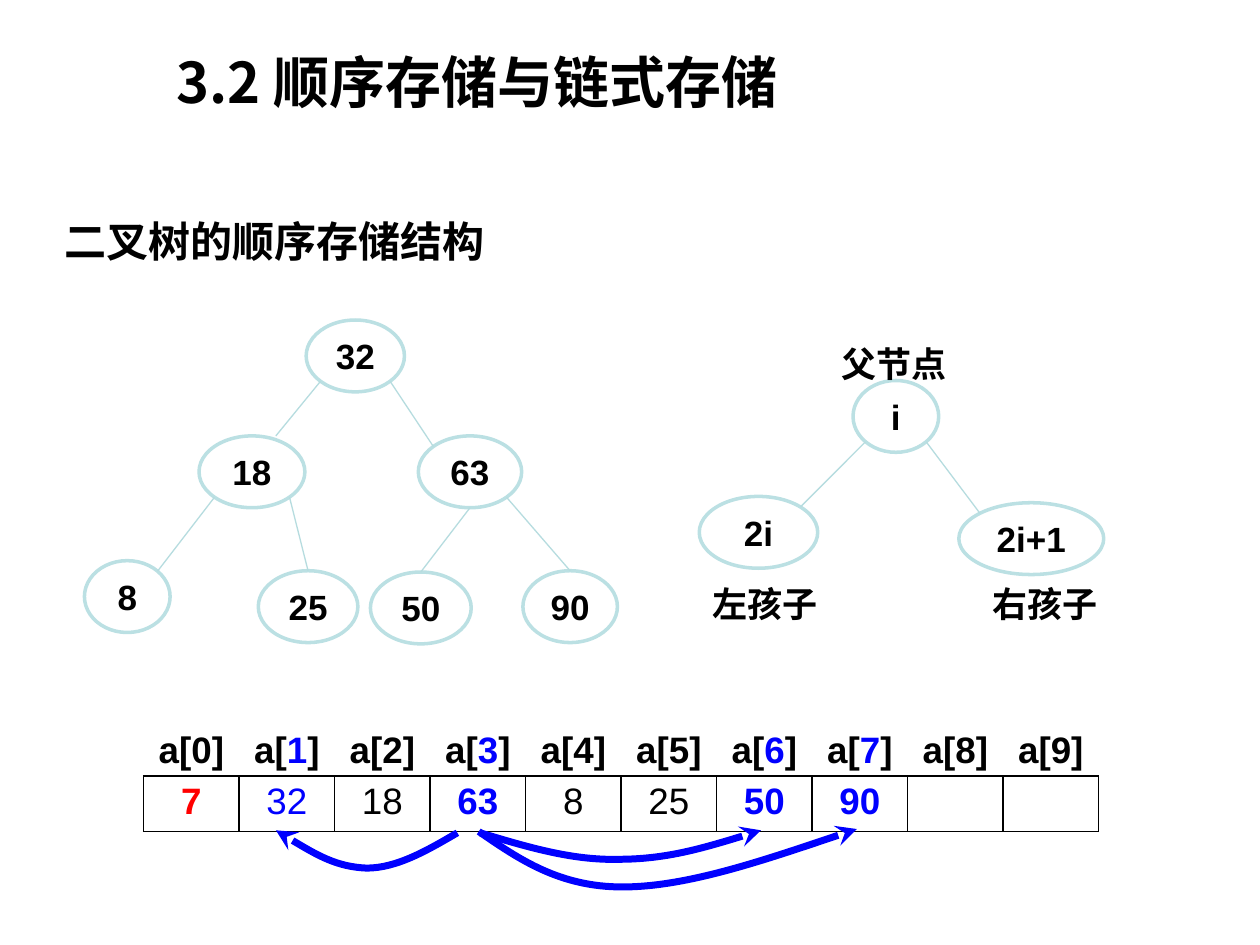
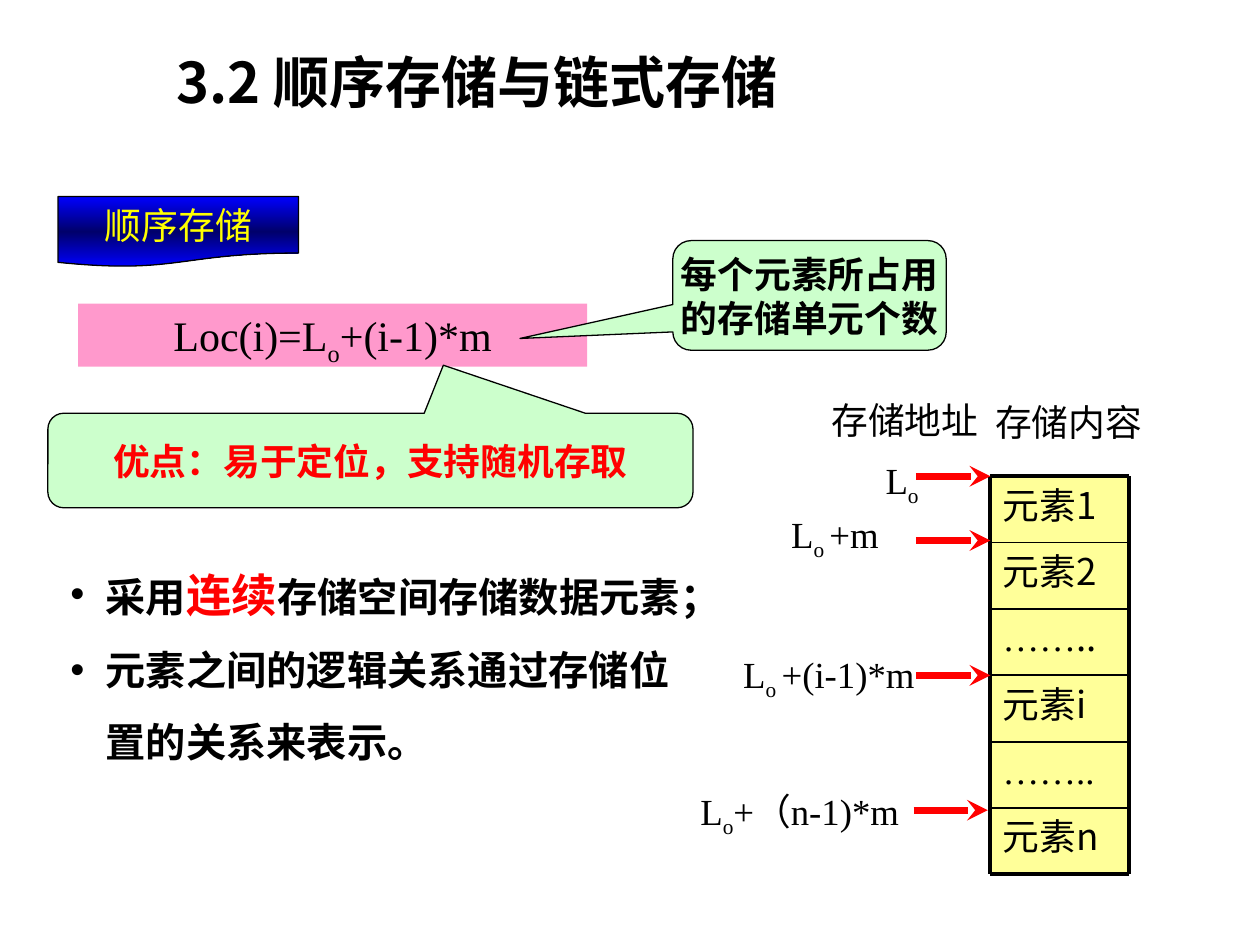
from copy import deepcopy

from pptx import Presentation
from pptx.dml.color import RGBColor
from pptx.enum.shapes import MSO_CONNECTOR, MSO_SHAPE
from pptx.enum.text import MSO_ANCHOR, PP_ALIGN
from pptx.oxml.ns import qn
from pptx.util import Inches, Pt
from lxml.etree import SubElement

SANS, SERIF, CJK = "Arial", "Times New Roman", "Noto Sans CJK SC"
BLACK, WHITE, RED, BLUE, NAVY = "000000", "FFFFFF", "FF0000", "0000FF", "00006B"
RIM, EDGE = "BBE0E3", "B6DCDF"
MINT, PINK, CREAM, YELLOW = "CCFFCC", "FF99CC", "FFFF99", "FFFF00"
CENTER = PP_ALIGN.CENTER
SUB_O = ("o", {"base": -25000})
DIAGONAL = 0.71


def rgb(value):
    return RGBColor.from_string(value)


def inches(*values):
    return [Inches(value) for value in values]


def write(frame, lines, size, wrap=True, anchor=MSO_ANCHOR.TOP, **style):
    frame.word_wrap = wrap
    frame.vertical_anchor = anchor
    fill_lines(frame, lines, size, **style)


def fill_lines(frame, lines, size, face=SANS, colour=BLACK, bold=False,
               align=None, spacing=None, bullet=None):
    for index, pieces in enumerate(lines):
        paragraph = frame.add_paragraph() if index else frame.paragraphs[0]
        paragraph.alignment = align
        paragraph.line_spacing = spacing
        if bullet:
            properties = paragraph._p.get_or_add_pPr()
            properties.set("marL", str(Inches(0.28)))
            properties.set("indent", str(-Inches(0.28)))
            SubElement(properties, qn("a:buFont")).set("typeface", SANS)
            SubElement(properties, qn("a:buChar")).set("char", bullet)
        for piece in [pieces] if isinstance(pieces, str) else pieces:
            text, own = (piece, {}) if isinstance(piece, str) else piece
            run = paragraph.add_run()
            run.text = text
            run.font.size = Pt(own.get("size", size))
            run.font.bold = own.get("bold", bold)
            run.font.name = own.get("face", face)
            run.font.color.rgb = rgb(own.get("colour", colour))
            properties = run._r.get_or_add_rPr()
            SubElement(properties, qn("a:ea")).set("typeface", CJK)
            if "base" in own:
                properties.set("baseline", str(own["base"]))


def add_label(slide, box, lines, size, **style):
    label = slide.shapes.add_textbox(*inches(*box))
    write(label.text_frame, lines, size, **style)


def add_panel(slide, kind, box, fill, line=None, width=0.75):
    panel = slide.shapes.add_shape(kind, *inches(*box))
    panel.shadow.inherit = False
    if fill:
        panel.fill.solid()
        panel.fill.fore_color.rgb = rgb(fill)
    if line:
        panel.line.color.rgb = rgb(line)
        panel.line.width = Pt(width)
    else:
        panel.line.fill.background()
    return panel


def set_stroke(stroke, colour, width, arrow=False):
    stroke.line.color.rgb = rgb(colour)
    stroke.line.width = Pt(width)
    if arrow:
        SubElement(stroke.line._get_or_add_ln(), qn("a:tailEnd")).set("type", "stealth")


def add_line(slide, start, end, colour, width, arrow=False):
    line = slide.shapes.add_connector(MSO_CONNECTOR.STRAIGHT, *inches(*start, *end))
    set_stroke(line, colour, width, arrow)
    SubElement(line._element.spPr, qn("a:effectLst"))


def add_title(deck):
    slide = deck.slides.add_slide(deck.slide_layouts[5])
    title = slide.shapes.title
    title.left, title.top, title.width, title.height = inches(1.21, 0.33, 5.16, 0.64)
    write(title.text_frame, ["3.2 顺序存储与链式存储"], 32, face=CJK, bold=True,
          align=CENTER, wrap=False)
    return slide


def rim_point(box, across, down):
    left, top, width, height = box
    return left + width * (1 + across) / 2, top + height * (1 + down) / 2


def draw_tree(slide, left, top, nodes, edges):
    boxes = {}
    for name, (x, y, width) in nodes.items():
        boxes[name] = (left + x, top + y, width, 0.57)
        node = add_panel(slide, MSO_SHAPE.OVAL, boxes[name], WHITE, RIM, 2)
        write(node.text_frame, [name], 20, bold=True, align=CENTER, wrap=False,
              anchor=MSO_ANCHOR.MIDDLE)
    for parent, leave, child, arrive in edges:
        add_line(slide, rim_point(boxes[parent], *leave),
                 rim_point(boxes[child], *arrive), EDGE, 0.75)


def draw_example_tree(slide, left, top):
    low_left, low_right = (-DIAGONAL, DIAGONAL), (DIAGONAL, DIAGONAL)
    nodes = {"32": (1.76, 0, 0.78), "18": (0.91, 0.92, 0.84), "63": (2.65, 0.92, 0.82),
             "8": (0, 1.91, 0.68), "25": (1.38, 1.99, 0.79),
             "90": (3.48, 1.99, 0.75), "50": (2.27, 2, 0.8)}
    edges = [("32", low_left, "18", (0.45, -1)),
             ("32", low_right, "63", (-DIAGONAL, -DIAGONAL)),
             ("18", low_left, "8", (DIAGONAL, -DIAGONAL)),
             ("18", low_right, "25", (0, -1)),
             ("63", (0, 1), "50", (0, -1)),
             ("63", low_right, "90", (0, -1))]
    draw_tree(slide, left, top, nodes, edges)


def draw_index_tree(slide, left, top):
    nodes = {"i": (1.22, 0.52, 0.68), "2i": (0, 1.44, 0.94), "2i+1": (2.06, 1.49, 1.15)}
    edges = [("i", (-DIAGONAL, DIAGONAL), "2i", (DIAGONAL, -DIAGONAL)),
             ("i", (DIAGONAL, DIAGONAL), "2i+1", (-DIAGONAL, -DIAGONAL))]
    draw_tree(slide, left, top, nodes, edges)
    for role, x, y, height in (("父节点", 1.03, 0, 0.61), ("左孩子", 0.01, 1.91, 0.61),
                               ("右孩子", 2.23, 1.91, 0.54)):
        add_label(slide, (left + x, top + y, 1.06, height), [role], 20, bold=True, spacing=1.5)


def add_borders(cell):
    properties = cell._tc.get_or_add_tcPr()
    for side in ("a:lnL", "a:lnR", "a:lnT", "a:lnB"):
        border = SubElement(properties, qn(side), w=str(Pt(1)))
        SubElement(SubElement(border, qn("a:solidFill")), qn("a:srgbClr")).set("val", BLACK)


def add_array_table(slide, box, rows, bordered=False):
    table = slide.shapes.add_table(len(rows), len(rows[0]), *inches(*box)).table
    table.first_row = table.horz_banding = False
    for column in table.columns:
        column.width = Inches(box[2] / len(rows[0]))
    for row, contents in enumerate(rows):
        for column, pieces in enumerate(contents):
            cell = table.cell(row, column)
            cell.margin_left = cell.margin_right = Inches(0.07)
            cell.margin_top = cell.margin_bottom = Inches(0.04)
            if bordered:
                add_borders(cell)
            cell.fill.background()
            if pieces:
                fill_lines(cell.text_frame, [pieces], 21, align=CENTER)
    return table


def add_curve(slide, start, points):
    builder = slide.shapes.build_freeform(*inches(*start))
    builder.add_line_segments([inches(*point) for point in points], close=False)
    curve = builder.convert_to_shape()
    outline = curve._element.spPr.find(".//" + qn("a:path"))
    corners = outline.findall(qn("a:lnTo"))
    for first in range(0, len(corners), 3):
        bend = SubElement(outline, qn("a:cubicBezTo"))
        for corner in corners[first:first + 3]:
            bend.append(corner[0])
            outline.remove(corner)
    curve.shadow.inherit = False
    curve.fill.background()
    set_stroke(curve, BLUE, 4, arrow=True)


def draw_array(slide, left, top, width):
    marked = {1, 3, 6, 7}
    strong = {"bold": True}
    indexes = [[("a[", strong), (str(i), {"bold": True, "colour": BLUE}), ("]", strong)]
               if i in marked else [(f"a[{i}]", strong)] for i in range(10)]
    values = [[(text, {"colour": colour, "bold": bold})] for text, colour, bold in (
        ("7", RED, True), ("32", BLUE, False), ("18", BLACK, False), ("63", BLUE, True),
        ("8", BLACK, False), ("25", BLACK, False), ("50", BLUE, True), ("90", BLUE, True))]
    labels = add_array_table(slide, (left, top, width, 1.07), [indexes, [None] * 10])
    labels.cell(1, 0).merge(labels.cell(1, 9))
    add_array_table(slide, (left, top + 0.4, width, 0.44), [values + [None, None]], True)
    curves = [
        [(2.67, 0.85), (3.04, 0.96), (3.4, 1.07), (3.77, 1.06),
         (4.14, 1.06), (4.52, 0.95), (4.9, 0.83)],
        [(2.66, 0.84), (2.98, 1.06), (3.3, 1.28), (3.8, 1.28),
         (4.3, 1.28), (4.98, 1.05), (5.66, 0.82)],
        [(2.49, 0.85), (2.25, 0.99), (2.01, 1.13), (1.77, 1.13),
         (1.53, 1.12), (1.29, 0.98), (1.05, 0.83)]]
    for curve in curves:
        start, *points = [(left + x, top + y) for x, y in curve]
        add_curve(slide, start, points)


def build_binary_tree_slide(deck):
    slide = add_title(deck)
    add_label(slide, (0.41, 1.66, 3.89, 0.5), ["二叉树的顺序存储结构"], 24, bold=True)
    draw_example_tree(slide, 0.67, 2.54)
    draw_index_tree(slide, 5.55, 2.5)
    draw_array(slide, 1.14, 5.76, 7.58)


def draw_heading(slide, box):
    heading = add_panel(slide, MSO_SHAPE.FLOWCHART_DOCUMENT, box, None, BLACK)
    heading.fill.gradient()
    heading.fill.gradient_angle = 90
    first_stop = heading._element.spPr.find(".//" + qn("a:gs"))
    first_stop.getparent().append(deepcopy(first_stop))
    shades = ((0, BLUE), (0.5, NAVY), (1, BLUE))
    for stop, (position, colour) in zip(heading.fill.gradient_stops, shades):
        stop.position = position
        stop.color.rgb = rgb(colour)
    write(heading.text_frame, ["顺序存储"], 21, face=CJK, colour=YELLOW, align=CENTER,
          anchor=MSO_ANCHOR.MIDDLE)


def draw_callout(slide, box, pointer, lines, colour):
    callout = add_panel(slide, MSO_SHAPE.ROUNDED_RECTANGULAR_CALLOUT, box, MINT, BLACK)
    callout.adjustments[0], callout.adjustments[1] = pointer
    write(callout.text_frame, lines, 21, face=SERIF, colour=colour, bold=True,
          align=CENTER, wrap=False, anchor=MSO_ANCHOR.MIDDLE)


def draw_formula(slide, left, top):
    formula = add_panel(slide, MSO_SHAPE.RECTANGLE, (left, top, 4.04, 0.5), PINK)
    write(formula.text_frame, [["Loc(i)=L", SUB_O, "+(i-1)*m"]], 24, face=SERIF, align=CENTER)
    draw_callout(slide, (left + 4.72, top - 0.5, 2.17, 0.87), (-1.059, 0.393),
                 ["每个元素所占用", "的存储单元个数"], BLACK)
    draw_callout(slide, (left - 0.24, top + 0.87, 5.12, 0.75), (0.113, -1.009),
                 ["优点：易于定位，支持随机存取"], RED)


def draw_memory(slide, left, top, width, height):
    elements = ["元素1", "元素2", ["……", ("..", {"face": CJK})], "元素i", "……..", "元素n"]
    step = height / len(elements)
    right, bottom = left + width, top + height
    for row, element in enumerate(elements):
        cell = add_panel(slide, MSO_SHAPE.RECTANGLE,
                         (left, top + row * step, width, step), CREAM)
        face = CJK if element[0] == "元" else SERIF
        write(cell.text_frame, [element], 21, face=face, align=PP_ALIGN.LEFT)
    for row in range(len(elements) + 1):
        y = top + row * step
        add_line(slide, (left, y), (right, y), BLACK, 1 if 0 < row < len(elements) else 2.25)
    for x in (left, right):
        add_line(slide, (x, top), (x, bottom), BLACK, 2.25)

    subscript = ("o ", SUB_O[1])
    labels = [(-0.93, -0.2, 0.64, ["L", SUB_O]),
              (-1.68, 0.23, 1.15, ["L", subscript, "+m"]),
              (-2.06, 1.34, 1.78, ["L", subscript, "+(i-1)*m"]),
              (-2.4, 2.43, 1.87, ["L", SUB_O, "+（n-1)*m"]),
              (-1.36, -0.67, 1.51, "存储地址"),
              (-0.06, -0.66, 1.65, "存储内容")]
    for x, y, label_width, label in labels:
        add_label(slide, (left + x, top + y, label_width, 0.45), [label], 21, face=SERIF)
    for x, y in ((0, 0), (0, 0.51), (0, 1.58), (-0.02, 2.65)):
        add_line(slide, (left + x - 0.59, top + y), (left + x, top + y), RED, 4, arrow=True)


def build_sequential_slide(deck):
    slide = add_title(deck)
    draw_formula(slide, 0.62, 2.41)
    draw_memory(slide, 7.86, 3.78, 1.1, 3.16)
    points = [["采用", ("连续", {"size": 26, "colour": RED}), "存储空间存储数据元素；"],
              "元素之间的逻辑关系通过存储位置的关系来表示。"]
    add_label(slide, (0.46, 4.22, 5.09, 1.92), points, 23, face=SERIF, bold=True,
              spacing=1.5, bullet="•", anchor=MSO_ANCHOR.MIDDLE)
    draw_heading(slide, (0.46, 1.56, 1.91, 0.56))


def main():
    deck = Presentation()
    deck.slide_width, deck.slide_height = inches(10, 7.5)
    build_binary_tree_slide(deck)
    build_sequential_slide(deck)
    deck.save("out.pptx")


if __name__ == "__main__":
    main()
